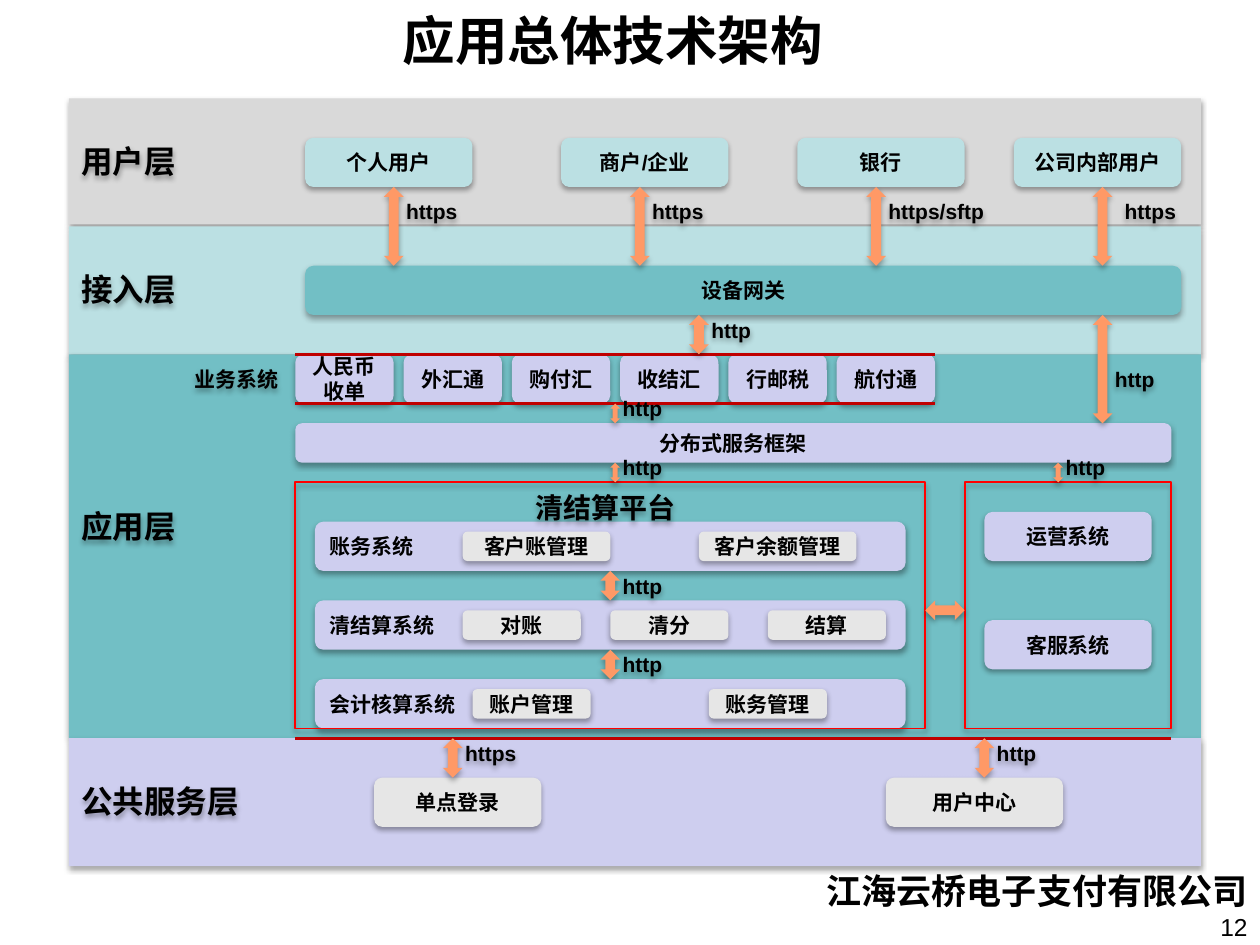
from lxml import etree
from pptx import Presentation
from pptx.dml.color import RGBColor
from pptx.enum.lang import MSO_LANGUAGE_ID
from pptx.enum.shapes import MSO_CONNECTOR, MSO_SHAPE
from pptx.enum.text import MSO_ANCHOR, PP_ALIGN
from pptx.oxml.ns import qn
from pptx.util import Cm, Pt

RECT, ROUND = MSO_SHAPE.RECTANGLE, MSO_SHAPE.ROUNDED_RECTANGLE
VERTICAL, HORIZONTAL = MSO_SHAPE.UP_DOWN_ARROW, MSO_SHAPE.LEFT_RIGHT_ARROW
STRAIGHT = MSO_CONNECTOR.STRAIGHT
LEFT, CENTER, RIGHT = PP_ALIGN.LEFT, PP_ALIGN.CENTER, PP_ALIGN.RIGHT
TOP, MIDDLE = MSO_ANCHOR.TOP, MSO_ANCHOR.MIDDLE
CHINESE = MSO_LANGUAGE_ID.SIMPLIFIED_CHINESE
CJK_FONT = "Noto Sans CJK SC"
WIDTH, HEIGHT, COLUMNS = Cm(25.4), Cm(19.05), 128

COLORS = {
    "text": "000000", "user": "D9D9D9", "access": "BBE0E3", "teal": "72BFC5",
    "lilac": "CECEEF", "module": "E6E6E6", "arrow": "FF9966",
    "frame": "FF0000", "rule": "C00000",
}


def color(name):
    """Return the named colour."""
    return RGBColor.from_string(COLORS[name])


def grid(*cells):
    """Turn grid cells into slide lengths."""
    return [round(WIDTH * cell / COLUMNS) for cell in cells]


def write(shape, text, size=12, align=CENTER, anchor=MIDDLE, bold=True, font="Arial"):
    """Put one formatted paragraph into a shape."""
    frame = shape.text_frame
    frame.word_wrap = True
    frame.vertical_anchor = anchor
    para = frame.paragraphs[0]
    para.alignment = align
    span = para.add_run()
    span.text = text
    formats = {"name": font, "size": Pt(size), "bold": bold, "language_id": CHINESE}
    for name, value in formats.items():
        setattr(span.font, name, value)
    span.font.color.rgb = color("text")
    etree.SubElement(span.font._element, qn("a:ea"), typeface=CJK_FONT)


def add_shadow(shape):
    """Give a shape a soft shadow below it."""
    shape.shadow.inherit = False
    effects = shape.element.spPr.find(qn("a:effectLst"))
    outer = etree.SubElement(effects, qn("a:outerShdw"), blurRad="40000",
                             dist="23000", dir="5400000", rotWithShape="0")
    tint = etree.SubElement(outer, qn("a:srgbClr"), val=COLORS["text"])
    etree.SubElement(tint, qn("a:alpha"), val="35000")


def add_block(page, kind, place, fill=None, text=None, line=None, align=CENTER):
    """Add a preset shape with optional fill, outline and text."""
    shape = page.shapes.add_shape(kind, *grid(*place))
    add_shadow(shape)
    if fill:
        shape.fill.solid()
        shape.fill.fore_color.rgb = color(fill)
    else:
        shape.fill.background()
    if line:
        shape.line.color.rgb = color(line)
        shape.line.width = Pt(1)
    else:
        shape.line.fill.background()
    if text:
        write(shape, text, align=align)


def add_label(page, place, text, shadow=True, **formats):
    """Add a text box."""
    box = page.shapes.add_textbox(*grid(*place))
    if shadow:
        add_shadow(box)
    write(box, text, **formats)


def add_rule(page, left, right, top):
    """Add a horizontal line."""
    rule = page.shapes.add_connector(STRAIGHT, *grid(left, top, right, top))
    rule.line.color.rgb = color("rule")
    rule.line.width = Pt(1.5)
    etree.SubElement(rule.element.spPr, qn("a:effectLst"))


def add_title(page):
    """Place and format the title."""
    title = page.shapes.title
    title.left, title.top, title.width, title.height = grid(10.5, 0, 103.5, 8)
    write(title, "应用总体技术架构", size=30, font=CJK_FONT)


def add_layers(page):
    """Add the four layer bands and their names."""
    layers = [
        ("用户层", "user", 10, 12.8, 10, 12.8), ("接入层", "access", 23, 13, 23, 12.8),
        ("应用层", "teal", 36, 39, 47, 12.8), ("公共服务层", "lilac", 75, 13, 75, 19),
    ]
    for _, fill, top, height, _, _ in layers:
        add_block(page, RECT, (7, top, 115, height), fill)
    for name, _, _, _, top, width in layers:
        add_label(page, (7, top, width, 12.8), name, size=18, align=LEFT)


def add_access(page):
    """Add the users and the gateway."""
    for left, name in [(31, "个人用户"), (57, "商户/企业"), (81, "银行"), (103, "公司内部用户")]:
        add_block(page, ROUND, (left, 14, 17, 5), "access", name)
    add_block(page, ROUND, (31, 27, 89, 5), "teal", "设备网关")


def add_business(page):
    """Add the row of business systems and the service framework."""
    add_block(page, ROUND, (18, 36, 12, 5), text="业务系统")
    names = ["人民币收单", "外汇通", "购付汇", "收结汇", "行邮税", "航付通"]
    for index, name in enumerate(names):
        add_block(page, ROUND, (30 + 11 * index, 36, 10, 5), "lilac", name)
    add_block(page, ROUND, (30, 43, 89, 4), "lilac", "分布式服务框架")
    for left, right, top in [(30, 95, 36), (30, 95, 41), (30, 119, 75)]:
        add_rule(page, left, right, top)


def add_platform(page):
    """Add the settlement platform with its systems and modules."""
    systems = [
        ("账务系统", [(47, 15, "客户账管理"), (71, 16, "客户余额管理")]),
        ("清结算系统", [(47, 12, "对账"), (62, 12, "清分"), (78, 12, "结算")]),
        ("会计核算系统", [(48, 12, "账户管理"), (72, 12, "账务管理")]),
    ]
    for row, (system, modules) in enumerate(systems):
        top = 53 + 8 * row
        add_block(page, ROUND, (32, top, 60, 5), "lilac", system, align=LEFT)
        for left, width, name in modules:
            add_block(page, ROUND, (left, top + 1, width, 3), "module", name)
    add_block(page, RECT, (30, 49, 64, 25), line="frame")
    add_label(page, (49, 49, 25, 5), "清结算平台", size=16)


def add_services(page):
    """Add the support systems and the public services."""
    add_block(page, RECT, (98, 49, 21, 25), line="frame")
    for left, top, width, fill, name in [
        (100, 52, 17, "lilac", "运营系统"), (100, 63, 17, "lilac", "客服系统"),
        (38, 79, 17, "module", "单点登录"), (90, 79, 18, "module", "用户中心"),
    ]:
        add_block(page, ROUND, (left, top, width, 5), fill, name)


def add_links(page):
    """Add the double arrows and their protocols."""
    for arrow, label, protocol in [
        ((39, 19, 2, 8), (40, 19, 8, 5), "https"),
        ((64, 19, 2, 8), (65, 19, 8, 5), "https"),
        ((88, 19, 2, 8), (89, 19, 13, 5), "https/sftp"),
        ((111, 19, 2, 8), (113, 19, 8, 5), "https"),
        ((70, 32, 2, 4), (71, 31, 8, 5), "http"),
        ((111, 32, 2, 11), (112, 36, 8, 5), "http"),
        ((62, 41, 1, 2), (62, 40, 8, 3), "http"),
        ((62, 47, 1, 2), (62, 46, 8, 3), "http"),
        ((107, 47, 1, 2), (107, 46, 8, 3), "http"),
        ((61, 58, 2, 3), (62, 57, 8, 5), "http"),
        ((61, 66, 2, 3), (62, 65, 8, 5), "http"),
        ((45, 75, 2, 4), (46, 74, 8, 5), "https"),
        ((99, 75, 2, 4), (100, 74, 8, 5), "http"),
    ]:
        add_block(page, VERTICAL, arrow, "arrow")
        add_label(page, label, protocol, align=LEFT)
    add_block(page, HORIZONTAL, (94, 61, 4, 2), "arrow")


def main():
    """Build the slide and save the deck."""
    deck = Presentation()
    deck.slide_width, deck.slide_height = WIDTH, HEIGHT
    page = deck.slides.add_slide(deck.slide_layouts[5])
    add_title(page)
    add_label(page, (120, 92, 8, 4.6), "12", shadow=False, size=14, align=RIGHT,
              anchor=TOP, bold=False)
    add_label(page, (82, 87, 46, 7), "江海云桥电子支付有限公司", shadow=False, size=20,
              align=RIGHT)
    for add_part in (add_layers, add_access, add_business, add_platform,
                     add_services, add_links):
        add_part(page)
    deck.save("out.pptx")


if __name__ == "__main__":
    main()
